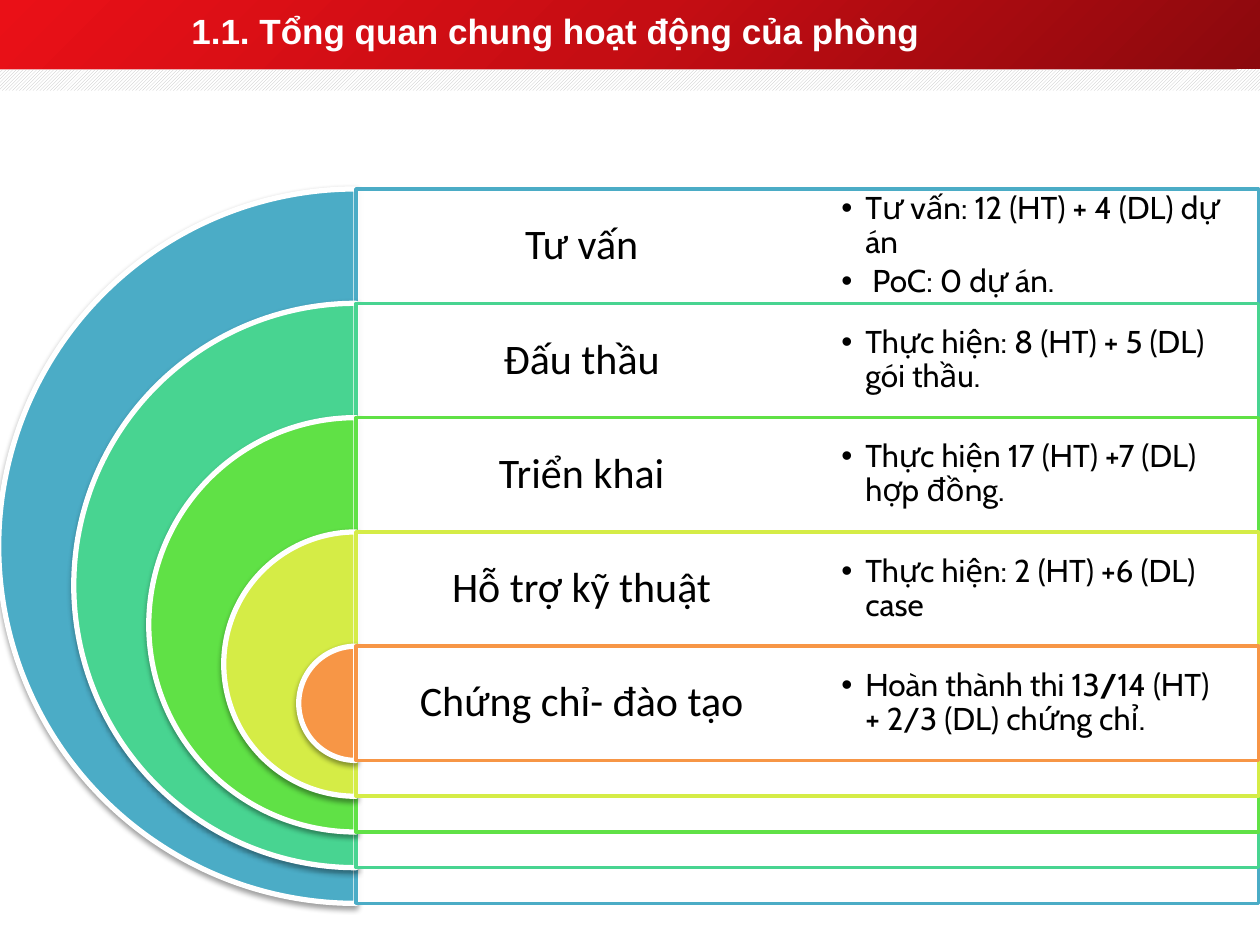
from copy import deepcopy
from lxml.etree import SubElement as Sub
from pptx import Presentation
from pptx.dml.color import RGBColor
from pptx.enum.dml import MSO_PATTERN as Pattern
from pptx.enum.shapes import MSO_SHAPE as Shape
from pptx.enum.text import MSO_ANCHOR as Anchor, PP_ALIGN as Align
from pptx.oxml.ns import qn
from pptx.util import Inches, Pt

COLORS = {
    "white": "FFFFFF", "black": "000000", "gray": "BFBFBF",
    "dark": "8B090D", "mid": "C50D13", "red": "EA1017",
    "blue": "4BACC6", "mint": "48D491", "green": "60E146",
    "lime": "D5EC46", "orange": "F79646",
}

ROWS = [
    ("blue", "Tư vấn", [["Tư vấn: 12 (HT) + 4 (DL) dự án"], [" PoC: 0 dự án."]]),
    ("mint", "Đấu thầu", [["Thực hiện: 8 (HT) + 5 (DL) gói thầu."]]),
    ("green", "Triển khai", [["Thực hiện 17 (HT) +7 (DL) hợp đồng."]]),
    ("lime", "Hỗ trợ kỹ thuật", [["Thực hiện: 2 (HT) +6 (DL) case"]]),
    ("orange", "Chứng chỉ- đào tạo",
     [["Hoàn thành thi 13", ("/", True), "14 (HT) + 2/3 (DL) chứng chỉ."]]),
]


def rgb(name):
    return RGBColor.from_string(COLORS[name])


def add_text(slide, box, paras, size=18, font="Calibri", color="black", bold=False,
             align=Align.LEFT, inset=0.1, pad=None, lines=1, after=0, bullet=False):
    frame = slide.shapes.add_textbox(*map(Inches, box)).text_frame
    frame.word_wrap = True
    frame.vertical_anchor = Anchor.MIDDLE
    frame.margin_left = frame.margin_right = Inches(inset)
    frame.margin_top = frame.margin_bottom = Inches(inset if pad is None else pad)
    for i, runs in enumerate(paras):
        para = frame.paragraphs[0] if i == 0 else frame.add_paragraph()
        para.alignment = align
        para.line_spacing = lines
        para.space_after = Pt(after)
        if bullet:
            props = para._p.get_or_add_pPr()
            props.set("marL", str(Inches(0.19)))
            props.set("indent", str(-Inches(0.19)))
            Sub(props, qn("a:buFont"), typeface="Arial")
            Sub(props, qn("a:buChar"), char="•")
        for part in runs:
            words, strong = (part, bold) if isinstance(part, str) else part
            run = para.add_run()
            run.text = words
            run.font.size = Pt(size)
            run.font.name = font
            run.font.bold = strong
            run.font.color.rgb = rgb(color)


def add_block(slide, kind, box, fill=None, line=None, width=0):
    shape = slide.shapes.add_shape(kind, *map(Inches, box))
    shape.shadow.inherit = False
    if fill:
        shape.fill.solid()
        shape.fill.fore_color.rgb = rgb(fill)
    if line:
        shape.line.color.rgb = rgb(line)
        shape.line.width = Pt(width)
    else:
        shape.line.fill.background()
    return shape


def set_alpha(color, share):
    Sub(color, qn("a:alpha"), val=str(share * 1000))


def add_shadow(shape):
    effects = shape._element.spPr.find(qn("a:effectLst"))
    outer = Sub(effects, qn("a:outerShdw"), blurRad=str(Pt(3.1)),
                dist=str(Pt(1.6)), dir="5400000", rotWithShape="0")
    set_alpha(Sub(outer, qn("a:srgbClr"), val=COLORS["black"]), 38)


def add_header(slide, left, top, width, height):
    bar = add_block(slide, Shape.RECTANGLE, (left, top, width, height))
    bar.fill.gradient()
    bar.fill.gradient_angle = 135
    stops = bar._element.spPr.find(".//" + qn("a:gsLst"))
    stops.append(deepcopy(stops[0]))
    shades = [(0, "dark"), (0.5, "mid"), (1, "red")]
    for stop, (place, name) in zip(bar.fill.gradient_stops, shades):
        stop.position = place
        stop.color.rgb = rgb(name)
    band = add_block(slide, Shape.RECTANGLE, (left, top + height, width, 0.17))
    band.fill.patterned()
    band.fill.pattern = Pattern.DARK_UPWARD_DIAGONAL
    band.fill.fore_color.rgb = rgb("gray")
    band.fill.back_color.rgb = rgb("white")
    add_text(slide, (left + 1.42, top, 7.58, 0.48),
             [["1.1. Tổng quan chung hoạt động của phòng"]],
             size=20, font="Arial", color="white", bold=True, pad=0.05)


def add_target(slide, left, top, width, size):
    pitch, shrink = size * 0.16, size * 0.21
    mid = left + size / 2
    span = width - size / 2
    half = span / 2
    for i, (color, label, notes) in enumerate(ROWS):
        y, side = top + i * pitch, size - i * shrink
        pie = add_block(slide, Shape.PIE, (mid - side / 2, y, side, side),
                        color, "white", 3)
        pie.adjustments[0], pie.adjustments[1] = 54, 162
        add_shadow(pie)
        panel = add_block(slide, Shape.RECTANGLE, (mid, y, span, side),
                          "white", color, 2)
        set_alpha(panel._element.spPr.find(qn("a:solidFill"))[0], 90)
        add_text(slide, (mid, y, half, pitch), [[label]], size=24,
                 align=Align.CENTER, lines=0.9, after=8.4)
        add_text(slide, (mid + half, y, half, pitch), notes, font="Cabin",
                 inset=0.27, lines=0.9, after=2.7, bullet=True)


def main():
    deck = Presentation()
    deck.slide_width, deck.slide_height = Inches(10), Inches(7.5)
    slide = deck.slides.add_slide(deck.slide_layouts[6])
    add_header(slide, 0, 0, 10, 0.55)
    add_target(slide, -0.01, 1.5, 10, 5.67)
    deck.save("out.pptx")


if __name__ == "__main__":
    main()
